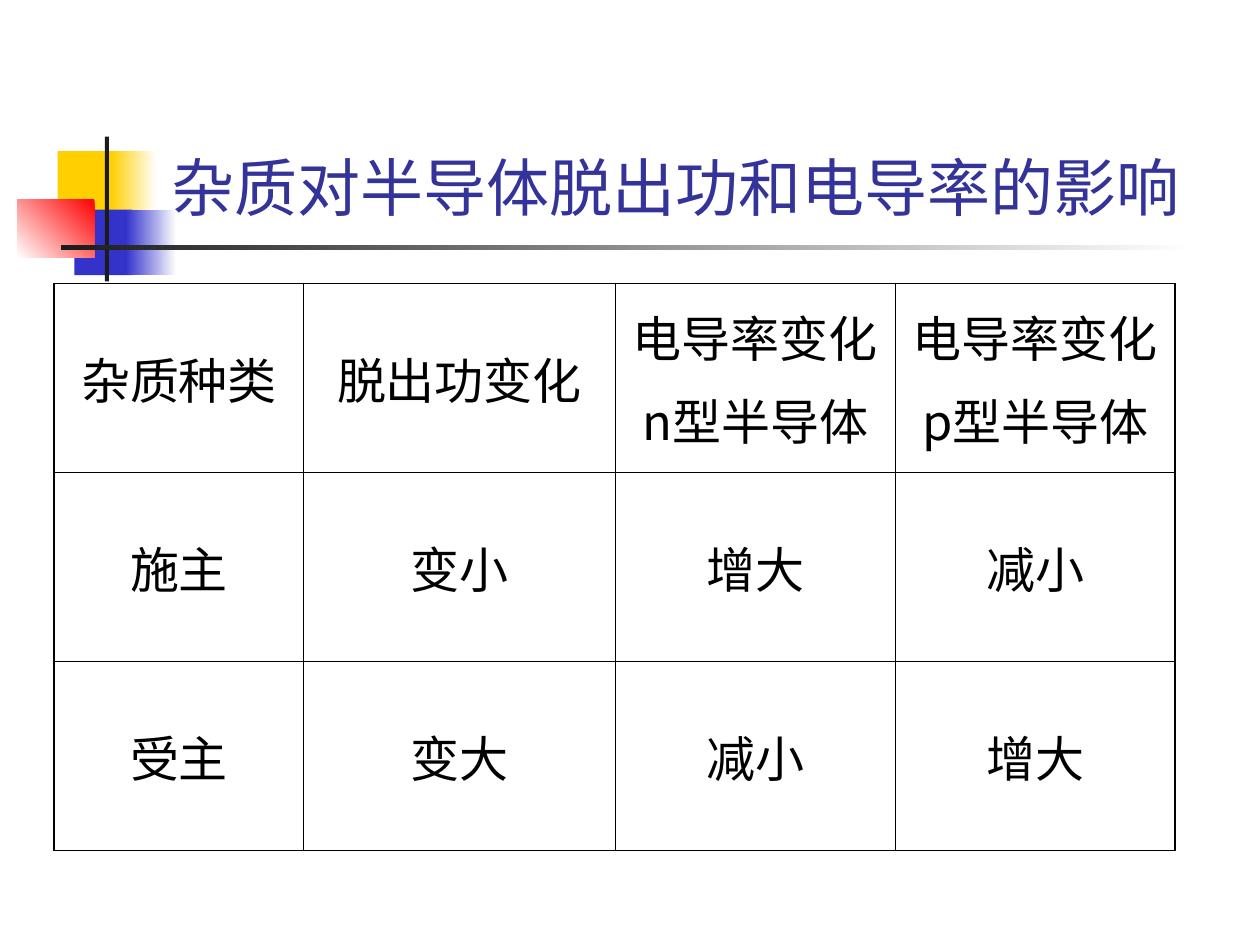
"""Build a slide with a table on how impurities affect semiconductors."""
from lxml.etree import SubElement
from pptx import Presentation
from pptx.dml.color import RGBColor
from pptx.enum.shapes import MSO_SHAPE
from pptx.enum.text import MSO_ANCHOR, PP_ALIGN
from pptx.oxml.ns import qn
from pptx.util import Pt

WHITE = RGBColor(0xFF, 0xFF, 0xFF)
BLACK = RGBColor(0x00, 0x00, 0x00)
YELLOW = RGBColor(0xFF, 0xCF, 0x01)
BLUE = RGBColor(0x33, 0x33, 0xCC)
RED = RGBColor(0xFF, 0x00, 0x00)
CHARCOAL = RGBColor(0x1C, 0x1C, 0x1C)
INDIGO = RGBColor(0x33, 0x33, 0x99)
HAN_FONT = "Noto Sans CJK SC"

TITLE = "杂质对半导体脱出功和电导率的影响"
ROWS = [
    ["杂质种类", "脱出功变化", "电导率变化\nn型半导体", "电导率变化\np型半导体"],
    ["施主", "变小", "增大", "减小"],
    ["受主", "变大", "减小", "增大"],
]
COLUMN_WIDTHS = [142.5, 178, 160, 160]
ROW_HEIGHT = 108
TABLE_LEFT, TABLE_TOP = 31, 162
OUTER_LINE, INNER_LINE = 1.08, 0.45

ORNAMENTS = [
    ((33, 86.4, 34.5, 37.4), [YELLOW], 0),
    ((63.4, 86.4, 26, 37.4), [WHITE, YELLOW], 180),
    ((42.5, 119.8, 33, 37.4), [BLUE], 0),
    ((72, 119.8, 28.8, 37.4), [WHITE, BLUE], 180),
    ((9.8, 113.8, 44.2, 33.4), [RED, WHITE], 225),
    ((59.9, 78, 2.4, 82.8), [CHARCOAL], 0),
    ((34.7, 140.2, 648, 2.4), [WHITE, CHARCOAL], 180),
]


def write(frame, text, size, color, latin=HAN_FONT, align=PP_ALIGN.LEFT,
          anchor=MSO_ANCHOR.MIDDLE, gap=0):
    frame.word_wrap = True
    frame.vertical_anchor = anchor
    for index, line in enumerate(text.split("\n")):
        paragraph = frame.paragraphs[0] if index == 0 else frame.add_paragraph()
        paragraph.alignment = align
        if index:
            paragraph.space_before = Pt(gap)
        run = paragraph.add_run()
        run.text = line
        run.font.size = Pt(size)
        run.font.name = latin
        run.font.color.rgb = color
        SubElement(run.font._element, qn("a:ea"), typeface=HAN_FONT)


def add_ornament(slide, box, colors, angle):
    ornament = slide.shapes.add_shape(MSO_SHAPE.RECTANGLE, *map(Pt, box))
    ornament.shadow.inherit = False
    ornament.line.fill.background()
    if len(colors) == 1:
        ornament.fill.solid()
        ornament.fill.fore_color.rgb = colors[0]
    else:
        ornament.fill.gradient()
        ornament.fill.gradient_angle = angle
        for stop, color, position in zip(ornament.fill.gradient_stops, colors, (0, 1)):
            stop.color.rgb = color
            stop.position = position


def set_borders(cell, outer_sides):
    properties = cell._tc.get_or_add_tcPr()
    for side, is_outer in outer_sides.items():
        width = Pt(OUTER_LINE if is_outer else INNER_LINE)
        border = SubElement(properties, qn(f"a:ln{side}"), w=str(width))
        fill = SubElement(border, qn("a:solidFill"))
        SubElement(fill, qn("a:srgbClr"), val=str(BLACK))


def add_impurity_table(slide):
    row_count, column_count = len(ROWS), len(COLUMN_WIDTHS)
    table = slide.shapes.add_table(
        row_count, column_count, Pt(TABLE_LEFT), Pt(TABLE_TOP),
        Pt(sum(COLUMN_WIDTHS)), Pt(ROW_HEIGHT * row_count)).table
    table.first_row = table.horz_banding = False
    for column, width in zip(table.columns, COLUMN_WIDTHS):
        column.width = Pt(width)
    for r, texts in enumerate(ROWS):
        table.rows[r].height = Pt(ROW_HEIGHT)
        for c, text in enumerate(texts):
            cell = table.cell(r, c)
            write(cell.text_frame, text, 28, BLACK, align=PP_ALIGN.CENTER, gap=7)
            cell.vertical_anchor = MSO_ANCHOR.MIDDLE
            set_borders(cell, {"L": c == 0, "R": c == column_count - 1,
                               "T": r == 0, "B": r == row_count - 1})
            cell.fill.background()


def main():
    presentation = Presentation()
    presentation.slide_width, presentation.slide_height = Pt(720), Pt(540)
    slide = presentation.slides.add_slide(presentation.slide_layouts[6])
    for box, colors, angle in ORNAMENTS:
        add_ornament(slide, box, colors, angle)
    title = slide.shapes.add_textbox(Pt(90.7), Pt(16.6), Pt(613.4), Pt(115.2))
    write(title.text_frame, TITLE, 36, INDIGO, latin="Roboto", anchor=MSO_ANCHOR.BOTTOM)
    add_impurity_table(slide)
    presentation.save("out.pptx")


if __name__ == "__main__":
    main()
